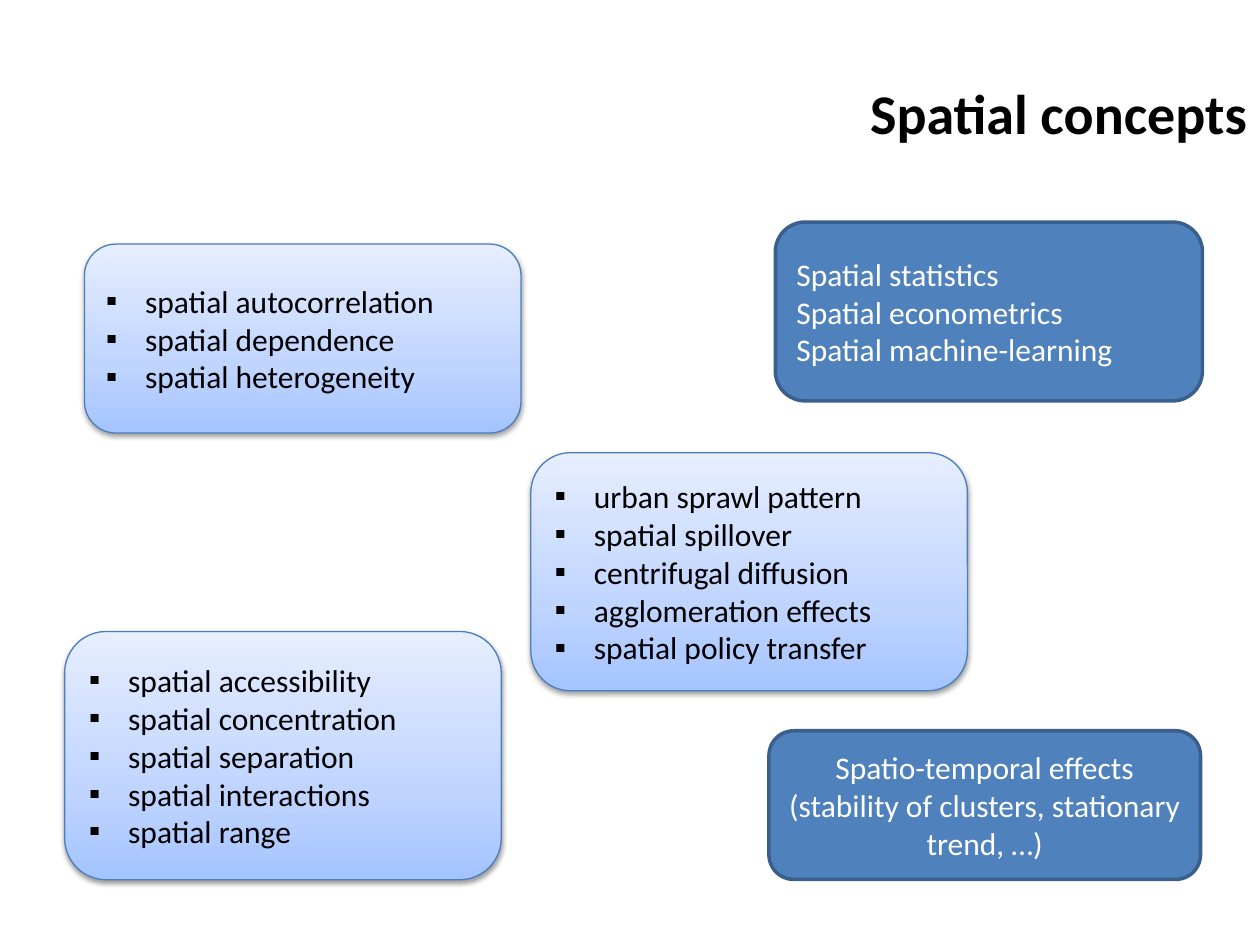
from copy import deepcopy

from lxml import etree
from pptx import Presentation
from pptx.dml.color import RGBColor
from pptx.enum.shapes import MSO_SHAPE
from pptx.enum.text import MSO_ANCHOR, PP_ALIGN
from pptx.oxml.ns import qn
from pptx.util import Inches, Pt

PANEL = MSO_SHAPE.FLOWCHART_ALTERNATE_PROCESS
MIDDLE = MSO_ANCHOR.MIDDLE
LEFT, CENTER, RIGHT = PP_ALIGN.LEFT, PP_ALIGN.CENTER, PP_ALIGN.RIGHT

BLACK = RGBColor(0x00, 0x00, 0x00)
WHITE = RGBColor(0xFF, 0xFF, 0xFF)
BLUE = RGBColor(0x4F, 0x81, 0xBD)
DARK_BLUE = RGBColor(0x3A, 0x5F, 0x8C)
EDGE_BLUE = RGBColor(0x4B, 0x7E, 0xBC)
GRADIENT = [
    (0, RGBColor(0xA4, 0xC4, 0xFF)),
    (0.35, RGBColor(0xBF, 0xD4, 0xFF)),
    (1, RGBColor(0xE6, 0xEE, 0xFF)),
]

FONT = "Calibri"
WIDTH, HEIGHT = Inches(10), Inches(7.5)
BULLET_INDENT = Inches(0.31)
CONCEPT_WIDTH = 34.65

# Left, top and height in percent of the slide
CONCEPTS = [
    (6.7, 25.83, 20, ["spatial autocorrelation", "spatial dependence",
                      "spatial heterogeneity"]),
    (42.13, 47.9, 25.2, ["urban sprawl pattern", "spatial spillover",
                         "centrifugal diffusion", "agglomeration effects",
                         "spatial policy transfer"]),
    (5.13, 66.83, 26.27, ["spatial accessibility", "spatial concentration",
                          "spatial separation", "spatial interactions",
                          "spatial range"]),
]
# Left, top, width and height in percent of the slide
METHODS = [
    (61.53, 23.5, 33.9, 18.93, LEFT,
     ["Spatial statistics", "Spatial econometrics",
      "Spatial machine-learning"]),
    (61.03, 77.33, 34.25, 15.73, CENTER,
     ["Spatio-temporal effects",
      "(stability of clusters, stationary trend, …)"]),
]


def place(left, top, width, height):
    """Turn percentages of the slide into lengths."""
    return (int(WIDTH * left / 100), int(HEIGHT * top / 100),
            int(WIDTH * width / 100), int(HEIGHT * height / 100))


def write_lines(frame, lines, color, align, size=18, bold=False):
    frame.word_wrap = True
    frame.vertical_anchor = MIDDLE
    for index, line in enumerate(lines):
        paragraph = frame.add_paragraph() if index else frame.paragraphs[0]
        paragraph.alignment = align
        run = paragraph.add_run()
        run.text = line
        run.font.name = FONT
        run.font.size = Pt(size)
        run.font.bold = bold
        run.font.color.rgb = color


def add_bullets(frame):
    for paragraph in frame.paragraphs:
        properties = paragraph._p.get_or_add_pPr()
        properties.set("marL", str(BULLET_INDENT))
        properties.set("indent", str(-BULLET_INDENT))
        etree.SubElement(properties, qn("a:buFont"), typeface=FONT)
        etree.SubElement(properties, qn("a:buChar"), char="▪")


def fill_gradient(shape):
    shape.fill.gradient()
    shape.fill.gradient_angle = 90
    stops = shape._element.spPr.find(".//" + qn("a:gsLst"))
    stops.insert(1, deepcopy(stops[0]))
    for stop, (position, color) in zip(shape.fill.gradient_stops, GRADIENT):
        stop.position = position
        stop.color.rgb = color


def drop_shadow(shape):
    effects = shape._element.spPr.find(qn("a:effectLst"))
    shadow = etree.SubElement(
        effects, qn("a:outerShdw"), blurRad=str(Pt(3.1)), dist=str(Pt(1.6)),
        dir="5400000", rotWithShape="0")
    color = etree.SubElement(shadow, qn("a:srgbClr"), val=str(BLACK))
    etree.SubElement(color, qn("a:alpha"), val="38000")


def add_panel(slide, box, edge, edge_width):
    panel = slide.shapes.add_shape(PANEL, *place(*box))
    panel.shadow.inherit = False
    panel.line.color.rgb = edge
    panel.line.width = Pt(edge_width)
    return panel


def add_concept(slide, left, top, height, lines):
    panel = add_panel(slide, (left, top, CONCEPT_WIDTH, height),
                      EDGE_BLUE, 0.75)
    fill_gradient(panel)
    drop_shadow(panel)
    write_lines(panel.text_frame, lines, BLACK, LEFT)
    add_bullets(panel.text_frame)


def add_method(slide, left, top, width, height, align, lines):
    panel = add_panel(slide, (left, top, width, height), DARK_BLUE, 2)
    panel.fill.solid()
    panel.fill.fore_color.rgb = BLUE
    write_lines(panel.text_frame, lines, WHITE, align)


def add_title(slide, text):
    title = slide.shapes.add_textbox(*place(0, 3.53, 100, 16.67))
    title.fill.solid()
    title.fill.fore_color.rgb = WHITE
    write_lines(title.text_frame, [text], BLACK, RIGHT, size=32, bold=True)


def main():
    deck = Presentation()
    deck.slide_width, deck.slide_height = WIDTH, HEIGHT
    slide = deck.slides.add_slide(deck.slide_layouts[6])
    add_title(slide, "Spatial concepts")
    for concept in CONCEPTS:
        add_concept(slide, *concept)
    for method in METHODS:
        add_method(slide, *method)
    deck.save("out.pptx")


if __name__ == "__main__":
    main()
